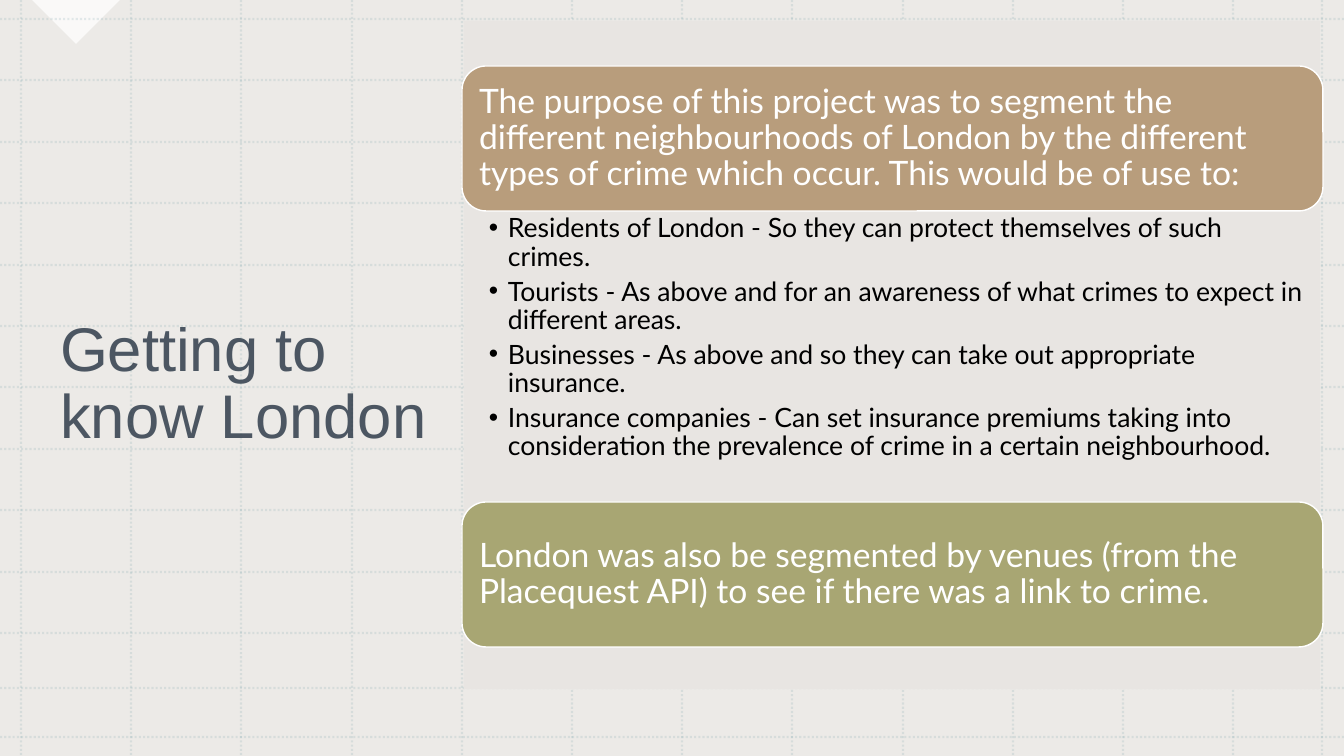
from typing import NamedTuple

from lxml import etree
from pptx import Presentation
from pptx.dml.color import RGBColor
from pptx.enum.dml import MSO_LINE
from pptx.enum.shapes import MSO_CONNECTOR, MSO_SHAPE
from pptx.enum.text import MSO_ANCHOR, PP_ALIGN
from pptx.oxml.ns import qn
from pptx.util import Emu, Pt

RECTANGLE = MSO_SHAPE.RECTANGLE
ROUNDED = MSO_SHAPE.ROUNDED_RECTANGLE
TRIANGLE = MSO_SHAPE.RIGHT_TRIANGLE
STRAIGHT = MSO_CONNECTOR.STRAIGHT
DOTTED = MSO_LINE.ROUND_DOT
TOP = MSO_ANCHOR.TOP
MIDDLE = MSO_ANCHOR.MIDDLE
LEFT = PP_ALIGN.LEFT

EMU_PER_PX = 914400 / 100.8
WIDTH, HEIGHT = 1344, 756
WHITE, STONE, GRID, INK = "FFFFFF", "E8E5E2", "80A8AE", "243241"


class Area(NamedTuple):
    left: int
    top: int
    width: int
    height: int


class Panel(NamedTuple):
    kind: int
    area: Area
    fill: str
    opacity: int = 100
    rotation: int = 0


class Card(NamedTuple):
    top: int
    fill: str
    text: str


class Style(NamedTuple):
    font: str
    size: int
    color: str
    opacity: int = 100


class Layout(NamedTuple):
    anchor: int
    insets: tuple[int, int, int, int]


BACKDROP = Panel(RECTANGLE, Area(0, 0, WIDTH, HEIGHT), STONE, 80)
CORNER = Panel(TRIANGLE, Area(45, -31, 62, 62), WHITE, 75, 315)
CONTENT = Panel(RECTANGLE, Area(464, 21, 856, 668), STONE)

GRID_COLUMNS = [21 + round(110.2 * step) for step in range(12)] + [1322]
GRID_ROWS = [19 + round(61.4 * step) for step in range(11)] + [688, 737]

TITLE_AREA = Area(50, 80, 410, 610)
TITLE_STYLE = Style("Arial", 44, INK, 80)
TITLE_LAYOUT = Layout(MIDDLE, (10, 5, 10, 5))

CARD_LEFT, CARD_WIDTH, CARD_HEIGHT = 462, 861, 145
CARD_STYLE = Style("Lato", 24, WHITE)
CARD_LAYOUT = Layout(MIDDLE, (10, 10, 10, 10))
CARDS = [
    Card(66, "B89D7C",
         "The purpose of this project was to segment the different neighbourhoods of London "
         "by the different types of crime which occur. This would be of use to:"),
    Card(502, "A8A673",
         "London was also be segmented by venues (from the Placequest API) to see if there "
         "was a link to crime."),
]

LIST_AREA = Area(CARD_LEFT, 212, CARD_WIDTH, 290)
LIST_STYLE = Style("Lato", 19, "000000")
LIST_LAYOUT = Layout(TOP, (27, 3, 19, 3))
BULLET_INDENT = 19
AUDIENCES = [
    "Residents of London - So they can protect themselves of such crimes.",
    "Tourists - As above and for an awareness of what crimes to expect in different areas.",
    "Businesses - As above and so they can take out appropriate insurance.",
    "Insurance companies - Can set insurance premiums taking into consideration the "
    "prevalence of crime in a certain neighbourhood.",
]


def px(length: int) -> Emu:
    """Turn pixels into EMU."""
    return Emu(round(length * EMU_PER_PX))


def rgb(color: str) -> RGBColor:
    """Turn a hex string into a colour."""
    return RGBColor.from_string(color)


def set_opacity(element, percent: int) -> None:
    """Make the first colour inside an element partly transparent."""
    if percent < 100:
        color = next(element.iter(qn("a:srgbClr")))
        etree.SubElement(color, qn("a:alpha"), val=str(percent * 1000))


def add_panel(page, panel: Panel):
    """Draw a filled shape without an outline."""
    shape = page.shapes.add_shape(panel.kind, *map(px, panel.area))
    shape.shadow.inherit = False
    shape.rotation = panel.rotation
    shape.fill.solid()
    shape.fill.fore_color.rgb = rgb(panel.fill)
    set_opacity(shape.fill._xPr, panel.opacity)
    shape.line.fill.background()
    return shape


def add_grid_line(page, left: int, top: int, right: int, bottom: int) -> None:
    """Draw one faint dotted line."""
    line = page.shapes.add_connector(STRAIGHT, px(left), px(top), px(right), px(bottom))
    line.line.color.rgb = rgb(GRID)
    line.line.width = Pt(1.5)
    line.line.dash_style = DOTTED
    properties = line._element.spPr
    set_opacity(properties, 20)
    etree.SubElement(properties, qn("a:effectLst"))


def write(box, lines: list[str], style: Style, layout: Layout) -> None:
    """Fill a box with left-aligned paragraphs in one style."""
    frame = box.text_frame
    frame.word_wrap = True
    frame.vertical_anchor = layout.anchor
    frame.margin_left, frame.margin_top, frame.margin_right, frame.margin_bottom = map(
        px, layout.insets)
    frame.text = "\n".join(lines)
    for para in frame.paragraphs:
        para.alignment = LEFT
        para.line_spacing = 0.9
        for span in para.runs:
            span.font.name = style.font
            span.font.size = Pt(style.size)
            span.font.color.rgb = rgb(style.color)
            set_opacity(span.font._element, style.opacity)


def add_bullets(box) -> None:
    """Give every paragraph of a box a bullet with a hanging indent."""
    for para in box.text_frame.paragraphs:
        para.space_after = Pt(4)
        properties = para._p.get_or_add_pPr()
        properties.set("marL", str(px(BULLET_INDENT)))
        properties.set("indent", str(px(-BULLET_INDENT)))
        etree.SubElement(properties, qn("a:buFont"), typeface="Arial")
        etree.SubElement(properties, qn("a:buChar"), char="•")


def add_card(page, card: Card) -> None:
    """Draw a rounded card with its text."""
    area = Area(CARD_LEFT, card.top, CARD_WIDTH, CARD_HEIGHT)
    box = add_panel(page, Panel(ROUNDED, area, card.fill))
    box.line.color.rgb = rgb(WHITE)
    box.line.width = Pt(1)
    write(box, [card.text], CARD_STYLE, CARD_LAYOUT)


def main() -> None:
    """Build the slide and save it."""
    deck = Presentation()
    deck.slide_width, deck.slide_height = px(WIDTH), px(HEIGHT)
    page = deck.slides.add_slide(deck.slide_layouts[6])
    page.background.fill.solid()
    page.background.fill.fore_color.rgb = rgb(WHITE)

    add_panel(page, BACKDROP)
    add_panel(page, CORNER)
    for column in GRID_COLUMNS:
        add_grid_line(page, column, 0, column, HEIGHT)
    for row in GRID_ROWS:
        add_grid_line(page, 0, row, WIDTH, row)

    title = page.shapes.add_textbox(*map(px, TITLE_AREA))
    write(title, ["Getting to know London"], TITLE_STYLE, TITLE_LAYOUT)
    add_panel(page, CONTENT)
    for card in CARDS:
        add_card(page, card)
    audience_list = page.shapes.add_textbox(*map(px, LIST_AREA))
    write(audience_list, AUDIENCES, LIST_STYLE, LIST_LAYOUT)
    add_bullets(audience_list)

    deck.save("out.pptx")


if __name__ == "__main__":
    main()
